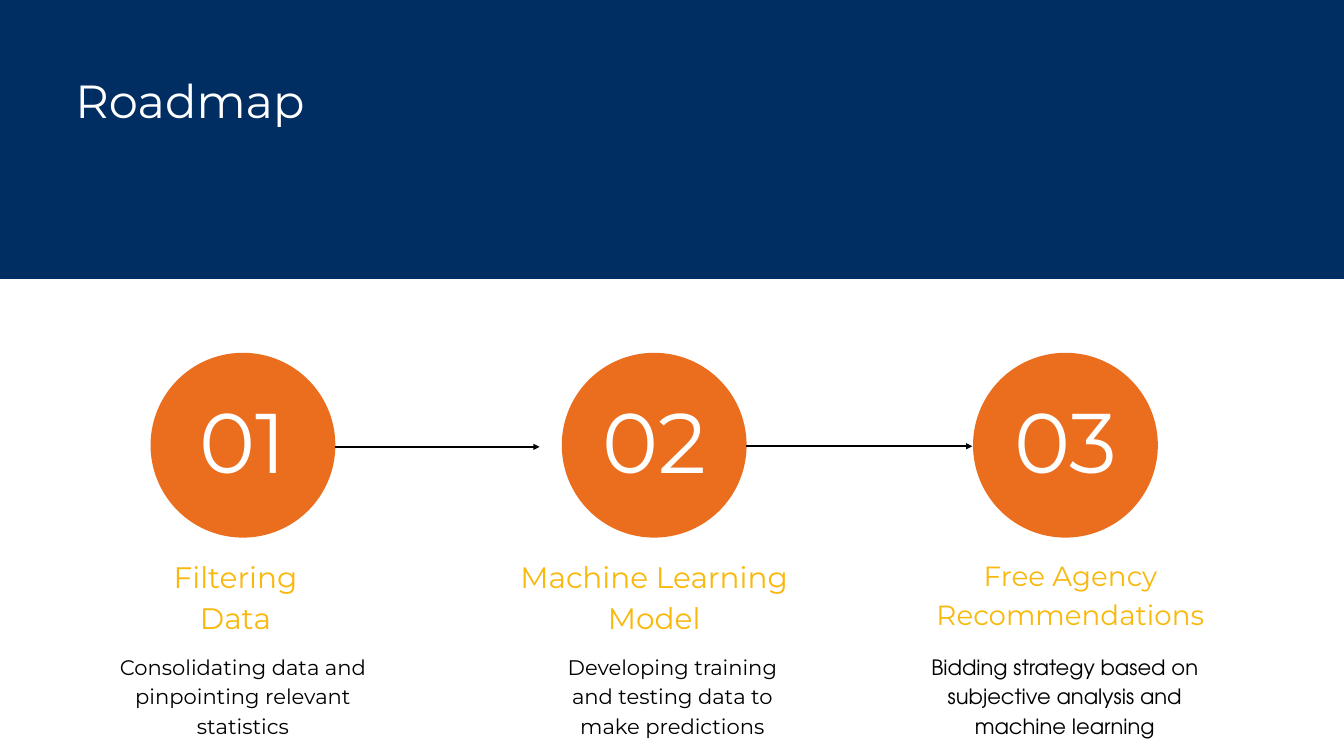
from lxml import etree
from pptx import Presentation
from pptx.dml.color import RGBColor
from pptx.enum.shapes import MSO_CONNECTOR, MSO_SHAPE
from pptx.enum.text import MSO_ANCHOR, MSO_AUTO_SIZE, PP_ALIGN
from pptx.oxml.ns import qn
from pptx.util import Emu, Pt

RECTANGLE, OVAL = MSO_SHAPE.RECTANGLE, MSO_SHAPE.OVAL
STRAIGHT = MSO_CONNECTOR.STRAIGHT
LEFT, CENTER = PP_ALIGN.LEFT, PP_ALIGN.CENTER
TOP = MSO_ANCHOR.TOP
NO_FIT = MSO_AUTO_SIZE.NONE

EMU_PER_PX = 9144  # 100 px to the inch
COLORS = {
    "navy": "002D62",
    "orange": "EB6E1F",
    "gold": "F9B80C",
    "white": "FFFFFF",
    "black": "000000",
}
MAIN_FONT, ALTERNATE_FONT = "Montserrat", "TeX Gyre Adventor"

CIRCLE_SIZE, CIRCLE_TOP = 275, 525
FIRST_CIRCLE_LEFT, CIRCLE_STEP = 224, 612
NUMBER_INSET, NUMBER_TOP = 34, 615

# Boxes are left, top, width, height
STEPS = [
    {
        "heading": ["Filtering Data"],
        "heading_box": (202, 823, 297, 121),
        "heading_size": 31.7,
        "heading_spacing": 44.3,
        "body": "Consolidating data and pinpointing relevant statistics",
        "body_box": (173, 967, 377, 130),
        "body_spacing": 31.6,
        "body_font": MAIN_FONT,
    },
    {
        "heading": ["Machine Learning Model"],
        "heading_box": (725, 823, 497, 121),
        "heading_size": 31.7,
        "heading_spacing": 44.3,
        "body": "Developing training and testing data to make predictions",
        "body_box": (836, 967, 329, 130),
        "body_spacing": 31.7,
        "body_font": MAIN_FONT,
    },
    {
        "heading": ["Free Agency", "Recommendations"],
        "heading_box": (1381, 824, 424, 113),
        "heading_size": 29.7,
        "heading_spacing": 41.5,
        "body": "Bidding strategy based on subjective analysis and machine learning",
        "body_box": (1363, 967, 443, 130),
        "body_spacing": 31.6,
        "body_font": ALTERNATE_FONT,
    },
]
# Start x, end x, y
ARROWS = [(499, 803, 665), (1110, 1447, 664)]


def px(length):
    return Emu(length * EMU_PER_PX)


def color(name):
    return RGBColor.from_string(COLORS[name])


def set_attributes(target, values):
    for name, value in values.items():
        setattr(target, name, value)


def write_text(shape, lines, size, spacing, color_name, font=MAIN_FONT, align=CENTER):
    frame = shape.text_frame
    set_attributes(frame, {
        "word_wrap": True, "auto_size": NO_FIT, "vertical_anchor": TOP,
        "margin_left": 0, "margin_top": 0, "margin_right": 0, "margin_bottom": 0,
    })
    frame.text = "\n".join(lines)
    for paragraph in frame.paragraphs:
        set_attributes(paragraph, {
            "alignment": align, "line_spacing": Pt(spacing),
            "space_before": Pt(0), "space_after": Pt(0),
        })
        set_attributes(paragraph.font, {"name": font, "size": Pt(size)})
        paragraph.font.color.rgb = color(color_name)


def add_text(slide, box, lines, size, spacing, color_name, font=MAIN_FONT):
    shape = slide.shapes.add_textbox(*map(px, box))
    write_text(shape, lines, size, spacing, color_name, font)


def add_filled_shape(slide, kind, box, color_name):
    shape = slide.shapes.add_shape(kind, *map(px, box))
    shape.shadow.inherit = False
    shape.fill.solid()
    shape.fill.fore_color.rgb = color(color_name)
    shape.line.fill.background()
    return shape


def add_title(slide, text, box):
    title = slide.shapes.title
    set_attributes(title, dict(zip(("left", "top", "width", "height"), map(px, box))))
    write_text(title, [text], 49.7, 43.7, "white", align=LEFT)
    return title


def add_step(slide, index, step):
    left = FIRST_CIRCLE_LEFT + index * CIRCLE_STEP
    add_filled_shape(slide, OVAL, (left, CIRCLE_TOP, CIRCLE_SIZE, CIRCLE_SIZE), "orange")
    number_box = (left + NUMBER_INSET, NUMBER_TOP, CIRCLE_SIZE - 2 * NUMBER_INSET, 123)
    add_text(slide, number_box, [f"{index + 1:02d}"], 90.6, 82.4, "white")
    add_text(slide, step["heading_box"], step["heading"],
             step["heading_size"], step["heading_spacing"], "gold")
    add_text(slide, step["body_box"], [step["body"]],
             22.6, step["body_spacing"], "black", step["body_font"])


def add_arrow(slide, start, end, y):
    arrow = slide.shapes.add_connector(STRAIGHT, px(start), px(y), px(end), px(y))
    arrow.line.width = Pt(2.25)
    arrow.line.color.rgb = color("black")
    properties = arrow.element.spPr
    line = properties.find(qn("a:ln"))
    etree.SubElement(line, qn("a:tailEnd"), type="triangle")
    etree.SubElement(properties, qn("a:effectLst"))


def main():
    presentation = Presentation()
    presentation.slide_width, presentation.slide_height = px(2000), px(1125)
    slide = presentation.slides.add_slide(presentation.slide_layouts[5])

    # Header band, placed behind the title
    banner = add_filled_shape(slide, RECTANGLE, (0, 0, 2000, 415), "navy")
    title = add_title(slide, "Roadmap", (112, 130, 518, 65))
    title.element.addprevious(banner.element)

    # Numbered steps
    for index, step in enumerate(STEPS):
        add_step(slide, index, step)

    # Arrows between steps
    for start, end, y in ARROWS:
        add_arrow(slide, start, end, y)

    presentation.save("out.pptx")


if __name__ == "__main__":
    main()
